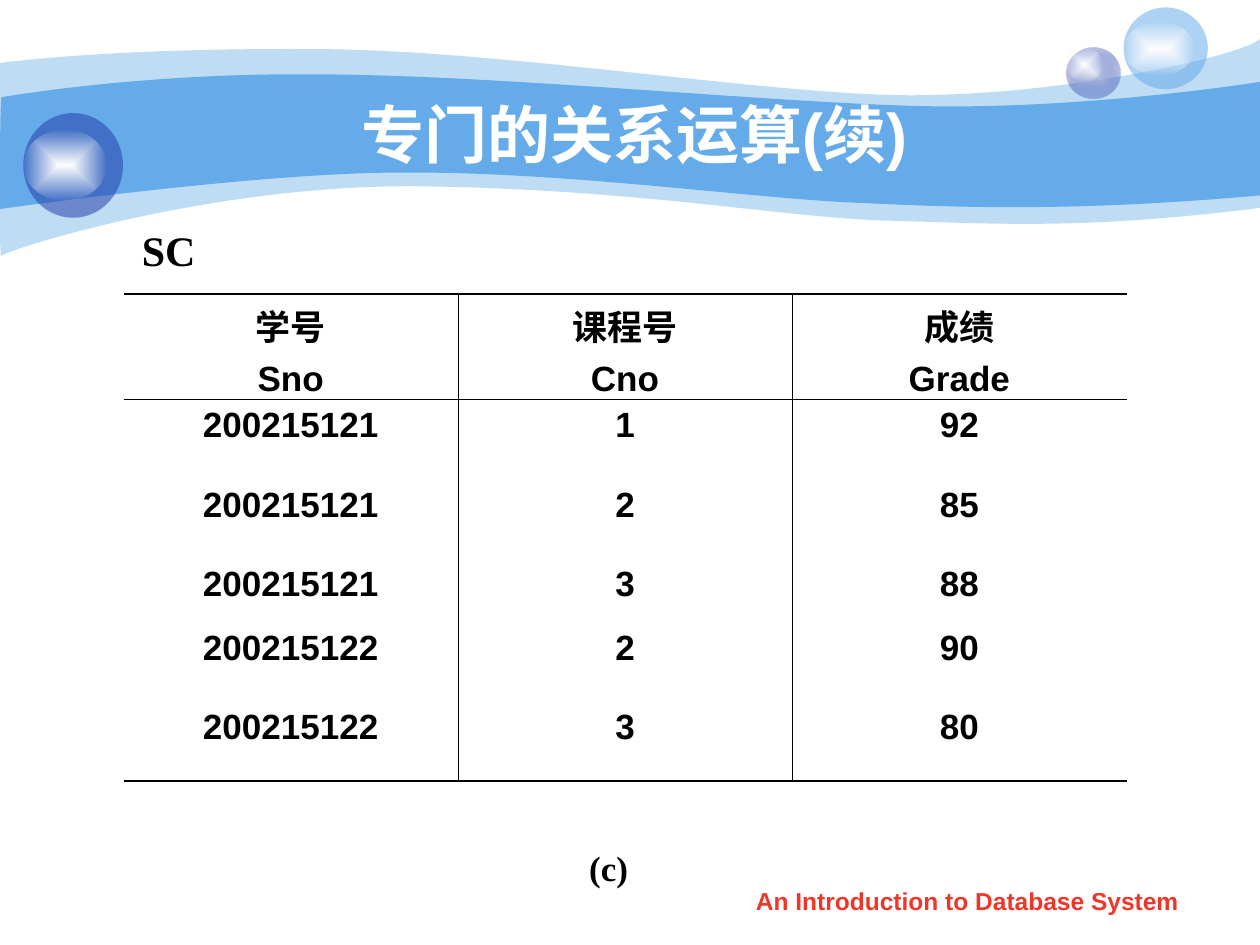
from lxml import etree
from pptx import Presentation, util as u
from pptx.dml.color import RGBColor
from pptx.enum import shapes, text
from pptx.oxml import parse_xml
from pptx.oxml.ns import nsdecls, qn

Cm, Pt = u.Cm, u.Pt

THEME = dict(
    sky="65AAE9", navy="233DA9", mist="C7CEE9", white="FFFFFF",
    ink="000000", red="F03628", sans="Arial", serif="Times New Roman",
    title=36, label=24, body=20, foot=14, thin=0.45, thick=1.08,
)
T = THEME

# Text boxes: words, box in cm, size, font, colour, anchor, wrap
TOP, MID = text.MSO_ANCHOR.TOP, text.MSO_ANCHOR.MIDDLE
TEXTS = [
    ("An Introduction to Database System", (14.5, 17.73, 10.01, 0.89),
     T["foot"], T["sans"], T["red"], TOP, True),
    ("专门的关系运算(续)", (2.54, 1.91, 20.52, 1.57),
     T["title"], T["sans"], T["white"], MID, True),
    ("(c)", (11.1, 16.94, 2.34, 1.96),
     T["body"], T["serif"], T["ink"], TOP, True),
    ("SC", (1.9, 4.33, 3, 1.4),
     T["label"], T["serif"], T["ink"], MID, False),
]

# Table of grades
ROWS = [
    ("学号\nSno", "课程号\nCno", "成绩\nGrade"),
    ("200215121", "1", "92"),
    ("200215121", "2", "85"),
    ("200215121", "3", "88"),
    ("200215122", "2", "90"),
    ("200215122", "3", "80"),
]
HIGH = [2.13, 1.61, 1.6, 1.28, 1.6, 1.61]
LEFT, HEAD, WIDE = 2.49, 5.92, 6.74

# Waves: opacity, start, then straight (1 point) or Bezier (3 points) parts
WAVES = [
    (41, (0, 1.27), [
        [(0.61, 1.19), (2.72, 0.97), (6.27, 0.99)],
        [(9.8, 0.99), (14.61, 1.78), (17.75, 1.91)],
        [(20.88, 2.03), (24.89, 1.19), (25.4, 0.79)],
        [(25.4, 4.19)],
        [(21.79, 4.65), (19.99, 4.5), (17.91, 4.45)],
        [(15.8, 4.39), (13.08, 3.84), (8.71, 3.76)],
        [(4.37, 3.66), (0.1, 5.05), (0.03, 5.16)],
        [(-0.03, 5.28), (0, 1.91), (0, 1.27)]]),
    (100, (0.03, 1.96), [
        [(0.05, 1.96), (2.79, 1.47), (6.3, 1.5)],
        [(9.8, 1.5), (15.11, 2.03), (18.24, 2.13)],
        [(21.36, 2.24), (24.79, 1.75), (25.4, 1.65)],
        [(25.4, 3.94)],
        [(21.67, 4.27), (19.43, 4.19), (17.32, 4.09)],
        [(15.21, 4.01), (11.35, 3.45), (8.05, 3.48)],
        [(5.16, 3.48), (-0.05, 4.22), (-0.03, 4.22)],
        [(0, 4.22), (0, 1.96), (0.03, 1.96)]]),
]

# Bubbles: ball box, shine box, (inner, outer) colours, outer opacity
BALLS = [
    ((21.51, 0.96, 1.07, 1.02), (21.51, 0.96, 0.71, 0.69),
     (T["mist"], T["navy"]), 31),
    ((22.65, 0.15, 1.7, 1.65), (22.65, 0.43, 1.42, 1.09),
     (T["sky"], T["sky"]), 53),
    ((0.47, 2.28, 2.01, 2.11), (0.47, 2.62, 1.68, 1.42),
     (T["navy"], T["navy"]), 53),
]


def rgb(hue):
    return RGBColor.from_string(hue)


def box(dims):
    return [Cm(d) for d in dims]


def fade(shape, part):
    """Set the opacity of a solid fill, in percent."""
    hue = shape._element.spPr.find(qn("a:solidFill"))[0]
    etree.SubElement(hue, qn("a:alpha")).set("val", str(part * 1000))


def glow(shape, inner, outer, part):
    """Fill from the middle outwards, ending at the given opacity."""
    shape.fill.background()
    props = shape._element.spPr
    grad = parse_xml(
        f'<a:gradFill {nsdecls("a")} rotWithShape="1"><a:gsLst>'
        f'<a:gs pos="0"><a:srgbClr val="{inner}"/></a:gs>'
        f'<a:gs pos="100000"><a:srgbClr val="{outer}">'
        f'<a:alpha val="{part * 1000}"/></a:srgbClr></a:gs></a:gsLst>'
        '<a:path path="rect"><a:fillToRect l="50000" t="50000" r="50000" '
        'b="50000"/></a:path></a:gradFill>')
    props.replace(props.find(qn("a:noFill")), grad)


def plain(shape, hue):
    shape.shadow.inherit = False
    shape.fill.solid()
    shape.fill.fore_color.rgb = rgb(hue)
    shape.line.fill.background()


def bend(shape, parts):
    """Join each run of three outline points into one Bezier part."""
    lines = iter(list(shape._element.iter(qn("a:lnTo"))))
    for seg in parts:
        first, *rest = [next(lines) for _ in seg]
        if rest:
            first.tag = qn("a:cubicBezTo")
            for line in rest:
                first.append(line[0])
                line.getparent().remove(line)


def wave(slide, part, start, parts):
    pen = slide.shapes.build_freeform(*box(start))
    pen.add_line_segments([box(p) for seg in parts for p in seg], close=True)
    shape = pen.convert_to_shape()
    bend(shape, parts)
    plain(shape, T["sky"])
    if part < 100:
        fade(shape, part)


def ball(slide, outer, shine, hues, part):
    group = slide.shapes.add_group_shape()
    disc, spot = [group.shapes.add_shape(shapes.MSO_SHAPE.OVAL, *box(dims))
                  for dims in (outer, shine)]
    plain(disc, hues[1])
    plain(spot, T["white"])
    if hues[0] == hues[1]:
        fade(disc, part)
    else:
        glow(disc, *hues, part)
    glow(spot, T["white"], T["white"], 0)


def style(para, size, face, hue):
    para.alignment = text.PP_ALIGN.CENTER
    font = para.font
    font.size, font.name, font.bold = Pt(size), face, True
    font.color.rgb = rgb(hue)


def label(slide, words, dims, size, face, hue, anchor, wrap):
    frame = slide.shapes.add_textbox(*box(dims)).text_frame
    frame.text = words
    frame.word_wrap, frame.vertical_anchor = wrap, anchor
    style(frame.paragraphs[0], size, face, hue)


def border(cell, sides):
    """Draw the sides that have a width; clear the others."""
    props = cell._tc.get_or_add_tcPr()
    for i, side in enumerate("LRTB"):
        wide = sides.get(side, 0)
        fill = (f'<a:solidFill><a:srgbClr val="{T["ink"]}"/></a:solidFill>'
                if wide else "<a:noFill/>")
        props.insert(i, parse_xml(
            f'<a:ln{side} {nsdecls("a")} w="{Pt(wide)}">{fill}</a:ln{side}>'))


def grid(slide):
    rows, cols = len(ROWS), len(ROWS[0])
    table = slide.shapes.add_table(
        rows, cols, *box((LEFT, HEAD, WIDE * cols, sum(HIGH)))).table
    table.first_row = table.horz_banding = False
    for col in table.columns:
        col.width = Cm(WIDE)
    for r, line in enumerate(ROWS):
        table.rows[r].height = Cm(HIGH[r])
        for c, words in enumerate(line):
            cell = table.cell(r, c)
            cell.text = words
            cell.fill.background()
            for i, para in enumerate(cell.text_frame.paragraphs):
                style(para, T["body"], T["sans"], T["ink"])
                if i:
                    para.space_before = Pt(5)
            border(cell, {
                "L": T["thin"] if c else 0,
                "R": T["thin"] if c < cols - 1 else 0,
                "T": {0: T["thick"], 1: T["thin"]}.get(r, 0),
                "B": {0: T["thin"], rows - 1: T["thick"]}.get(r, 0)})


def main():
    deck = Presentation()
    deck.slide_width, deck.slide_height = Cm(25.4), Cm(19.05)
    slide = deck.slides.add_slide(deck.slide_layouts[6])
    # Backdrop
    for item in WAVES:
        wave(slide, *item)
    for item in BALLS:
        ball(slide, *item)
    # Words and table
    for item in TEXTS:
        label(slide, *item)
    grid(slide)
    deck.save("out.pptx")


if __name__ == "__main__":
    main()
